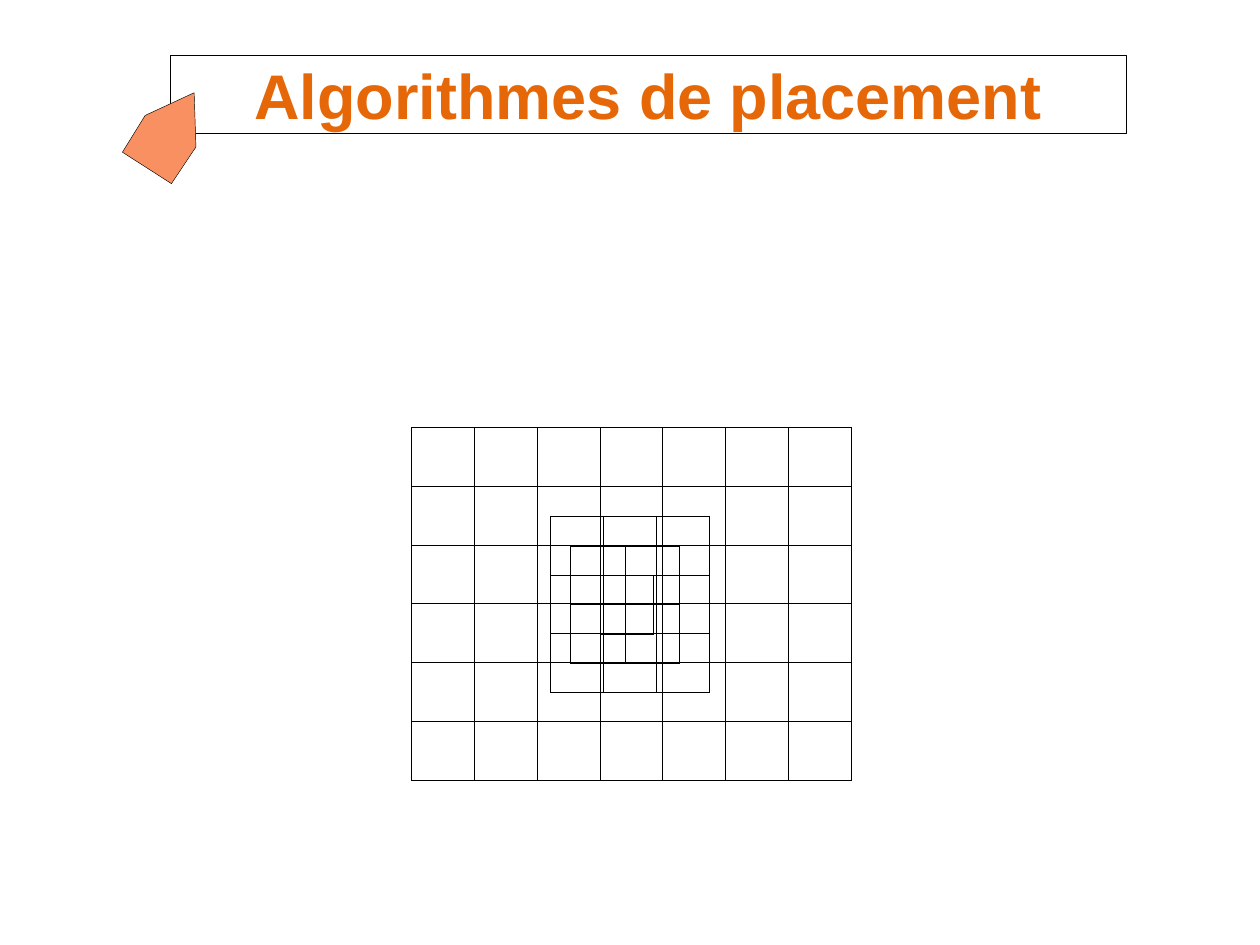
from lxml import etree
from pptx import Presentation, util as u
from pptx.dml.color import RGBColor
from pptx.enum import shapes, text
from pptx.oxml.ns import qn

COLOURS = {"line": "000000", "title": "E66708", "marker": "F89062"}
ROW_HEIGHT = 33.6


class SlideBuilder:
    """Holds the style and the current slide."""

    outline_width = 0.25
    border_width = 0.45
    title_format = {"name": "Arial", "size": u.Pt(36), "bold": True}

    def __init__(self, slide):
        self.slide = slide

    def colour(self, name):
        return RGBColor.from_string(COLOURS[name])

    def outline(self, shape):
        shape.shadow.inherit = False
        shape.line.color.rgb = self.colour("line")
        shape.line.width = u.Pt(self.outline_width)

    def title(self, wording, left, top, width, height):
        shape = self.slide.shapes.add_shape(
            shapes.MSO_SHAPE.RECTANGLE, *map(u.Pt, (left, top, width, height)))
        shape.fill.background()
        self.outline(shape)
        frame = shape.text_frame
        frame.word_wrap = True
        frame.vertical_anchor = text.MSO_ANCHOR.MIDDLE
        paragraph = frame.paragraphs[0]
        paragraph.alignment = text.PP_ALIGN.CENTER
        run = paragraph.add_run()
        run.text = wording
        for name, value in self.title_format.items():
            setattr(run.font, name, value)
        run.font.color.rgb = self.colour("title")

    def polygon(self, points, fill):
        builder = self.slide.shapes.build_freeform(*points[0], scale=u.Pt(1))
        builder.add_line_segments(points[1:], close=True)
        shape = builder.convert_to_shape()
        shape.fill.solid()
        shape.fill.fore_color.rgb = self.colour(fill)
        self.outline(shape)

    def grid(self, left, top, columns, rows, column_width):
        frame = self.slide.shapes.add_table(
            rows, columns, u.Pt(left), u.Pt(top),
            u.Pt(columns * column_width), u.Pt(rows * ROW_HEIGHT))
        table = frame.table
        table.first_row = table.horz_banding = False
        for column in table.columns:
            column.width = u.Pt(column_width)
        for row in table.rows:
            row.height = u.Pt(ROW_HEIGHT)
        for cell in table.iter_cells():
            cell.fill.background()
            self.borders(cell)

    def borders(self, cell):
        properties = cell._tc.get_or_add_tcPr()
        for position, side in enumerate(("lnL", "lnR", "lnT", "lnB")):
            line = etree.Element(qn(f"a:{side}"), w=str(u.Pt(self.border_width)))
            fill = etree.SubElement(line, qn("a:solidFill"))
            etree.SubElement(fill, qn("a:srgbClr"), val=COLOURS["line"])
            properties.insert(position, line)


def main():
    presentation = Presentation()
    presentation.slide_width, presentation.slide_height = u.Pt(720), u.Pt(540)
    builder = SlideBuilder(
        presentation.slides.add_slide(presentation.slide_layouts[6]))

    # Overlapping placement grids: left, top, columns, rows, column width
    for grid in (
        (314.5, 295, 3, 3, 30.3),
        (326, 312, 2, 2, 31.2),
        (235.2, 244.2, 7, 6, 35.9),
        (343, 329, 1, 1, 30.3),
    ):
        builder.grid(*grid)

    # Title frame and its corner marker
    builder.title("Algorithmes de placement", 97.4, 31.7, 546, 44.6)
    builder.polygon(
        [(69.6, 87), (83, 65.5), (111, 52.8), (111.6, 83.6), (98.5, 105)],
        "marker")

    presentation.save("out.pptx")


if __name__ == "__main__":
    main()
